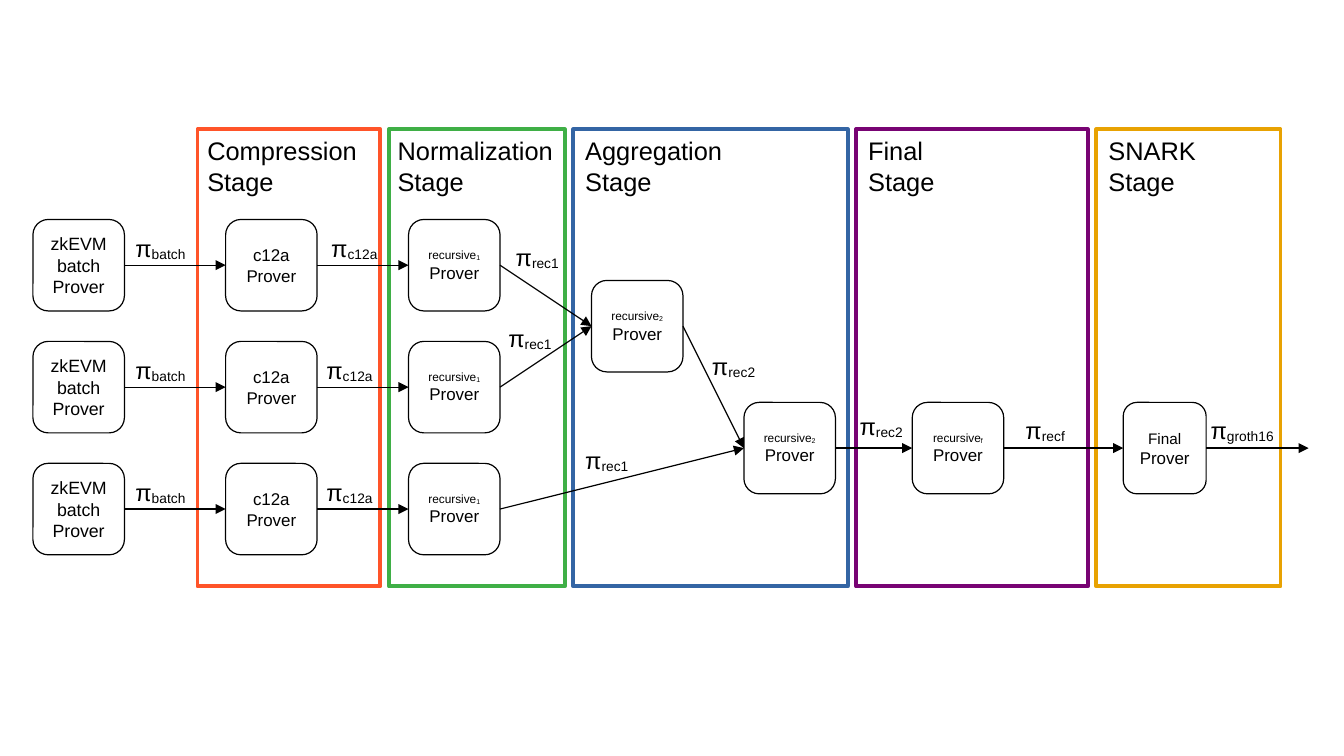
from lxml import etree
from pptx import Presentation
from pptx.dml.color import RGBColor
from pptx.enum.shapes import MSO_CONNECTOR as Connector, MSO_SHAPE as Shape
from pptx.enum.text import MSO_ANCHOR as Anchor, PP_ALIGN as Align
from pptx.oxml.ns import qn
from pptx.util import Inches, Pt

BLACK = RGBColor(0x00, 0x00, 0x00)
WHITE = RGBColor(0xFF, 0xFF, 0xFF)
ORANGE = RGBColor(0xFF, 0x54, 0x29)
GREEN = RGBColor(0x3F, 0xAF, 0x46)
BLUE = RGBColor(0x34, 0x65, 0xA4)
PURPLE = RGBColor(0x78, 0x03, 0x73)
YELLOW = RGBColor(0xE8, 0xA2, 0x02)

FONT = "Arial"
SIDE = 15
ROWS = (36, 56, 76)
BATCH, COMPRESS, NORMALIZE = 5.4, 37, 67
STAGE_TOP, STAGE_HEIGHT = 21.2, 75
TOP, LEFT, BOTTOM, RIGHT = range(4)

STAGES = [
    ("Compression", 32.4, 30, 1.6, ORANGE),
    ("Normalization", 63.8, 28.8, 1.4, GREEN),
    ("Aggregation", 94, 45, 2, BLUE),
    ("Final", 140.4, 38, 2, PURPLE),
    ("SNARK", 179.8, 30.2, 2, YELLOW),
]


def cells(count):
    return Inches(count * 0.05)


def style_span(span, size, subscript=False):
    span.font.name = FONT
    span.font.size = Pt(size)
    span.font.color.rgb = BLACK
    if subscript:
        span._r.get_or_add_rPr().set("baseline", "-8000")


def write_lines(frame, lines, align):
    frame.text = "\n".join("".join(text for text, *_ in line) for line in lines)
    for para, line in zip(frame.paragraphs, lines):
        para.alignment = align
        para.text = line[0][0]
        for text, *_ in line[1:]:
            para.add_run().text = text
        for span, (_, *style) in zip(para.runs, line):
            style_span(span, *style)


def add_prover(page, column, row, lines, width=SIDE):
    box = page.shapes.add_shape(
        Shape.ROUNDED_RECTANGLE, cells(column), cells(row), cells(width), cells(SIDE))
    box.shadow.inherit = False
    box.fill.solid()
    box.fill.fore_color.rgb = WHITE
    box.line.color.rgb = BLACK
    box.line.width = Pt(0.71)
    box.text_frame.vertical_anchor = Anchor.MIDDLE
    write_lines(box.text_frame, lines, Align.CENTER)
    return box


def add_recursive(page, column, row, index):
    lines = [[("recursive", 7), (index, 7, True)], [("Prover", 10)]]
    return add_prover(page, column, row, lines)


def add_stage(page, name, column, width, margin, color):
    box = page.shapes.add_shape(
        Shape.RECTANGLE, cells(column), cells(STAGE_TOP), cells(width), cells(STAGE_HEIGHT))
    box.shadow.inherit = False
    box.fill.background()
    box.line.color.rgb = color
    box.line.width = Pt(2.3)
    frame = box.text_frame
    frame.vertical_anchor = Anchor.TOP
    frame.margin_left, frame.margin_right = cells(margin), 0
    write_lines(frame, [[(name, 15)], [("Stage", 15)]], Align.LEFT)


def add_arrow(page, source, target=None, reach=0):
    start = source.left + source.width
    middle = source.top + source.height // 2
    arrow = page.shapes.add_connector(
        Connector.STRAIGHT, start, middle, start + cells(reach), middle)
    arrow.begin_connect(source, RIGHT)
    if target is not None:
        arrow.end_connect(target, LEFT)
    arrow.line.color.rgb = BLACK
    arrow.line.width = Pt(0.71)
    etree.SubElement(arrow.line._get_or_add_ln(), qn("a:tailEnd"), type="triangle")
    etree.SubElement(arrow._element.spPr, qn("a:effectLst"))
    return arrow


def add_proof(page, arrow, name, across, down):
    width, height = cells(SIDE), cells(6.4)
    center = (arrow.begin_x + arrow.end_x) // 2 + cells(across)
    middle = (arrow.begin_y + arrow.end_y) // 2 + cells(down)
    box = page.shapes.add_textbox(center - width // 2, middle - height // 2, width, height)
    box.text_frame.word_wrap = False
    box.text_frame.vertical_anchor = Anchor.MIDDLE
    write_lines(box.text_frame, [[("π", 14), (name, 14, True)]], Align.CENTER)


def main():
    deck = Presentation()
    deck.slide_width, deck.slide_height = Inches(11.02), Inches(6.2)
    page = deck.slides.add_slide(deck.slide_layouts[6])

    batch_lines = [[("zkEVM", 10.5)], [("batch", 10.5)], [("Prover", 10.5)]]
    compress_lines = [[("c12a", 10)], [("Prover", 10)]]
    batches = [add_prover(page, BATCH, row, batch_lines) for row in ROWS]
    compressors = [add_prover(page, COMPRESS, row, compress_lines) for row in ROWS]
    normalizers = [add_recursive(page, NORMALIZE, row, "1") for row in ROWS]
    first_merge = add_recursive(page, 97, 46, "2")
    second_merge = add_recursive(page, 122, 66, "2")
    last_recursion = add_recursive(page, 149.6, 66, "f")
    snark = add_prover(page, 184.2, 66, [[("Final", 9)], [("Prover", 10)]], 13.6)

    for stage in STAGES:
        add_stage(page, *stage)

    links = [(*pair, "batch", -2.4, -2.8) for pair in zip(batches, compressors)]
    links += [(*pair, "c12a", across, -2.8)
              for *pair, across in zip(compressors, normalizers, (-1.4, -2.2, -2.2))]
    links += [
        (normalizers[0], first_merge, "rec1", -1.4, -6.4),
        (normalizers[1], first_merge, "rec1", -2.6, -3),
        (normalizers[2], second_merge, "rec1", -2.5, -3),
        (first_merge, second_merge, "rec2", 3.3, -3.4),
        (second_merge, last_recursion, "rec2", 1.2, -3.6),
        (last_recursion, snark, "recf", -3, -3),
    ]
    for source, target, *proof in links:
        add_proof(page, add_arrow(page, source, target), *proof)
    add_proof(page, add_arrow(page, snark, reach=16.8), "groth16", -2.5, -3)

    deck.save("out.pptx")


if __name__ == "__main__":
    main()
